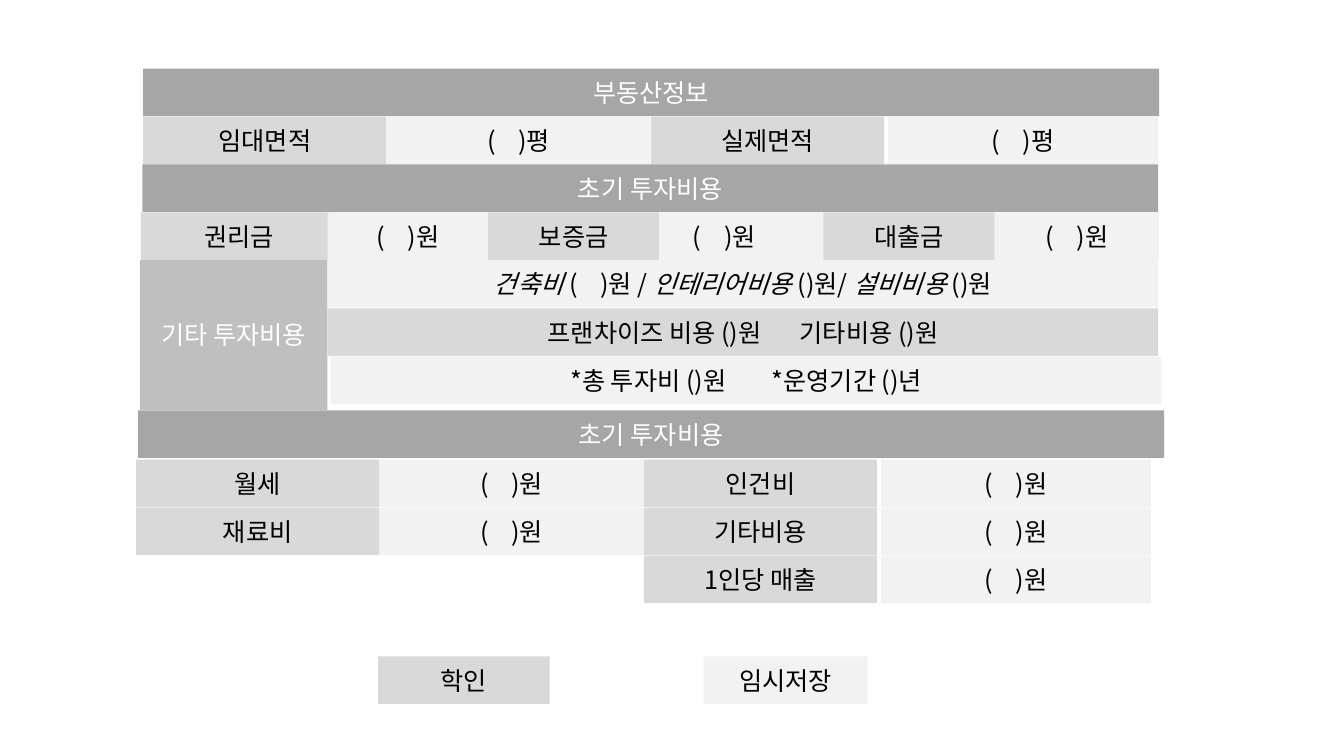
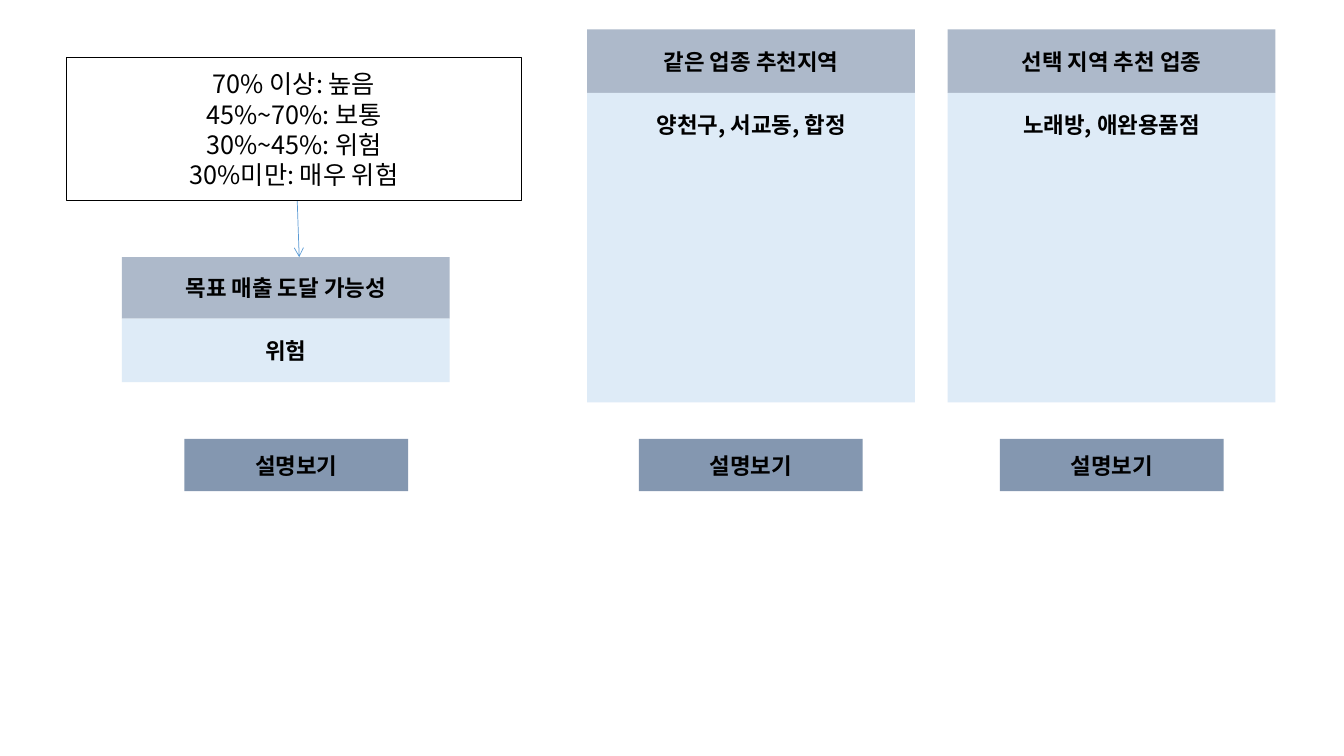
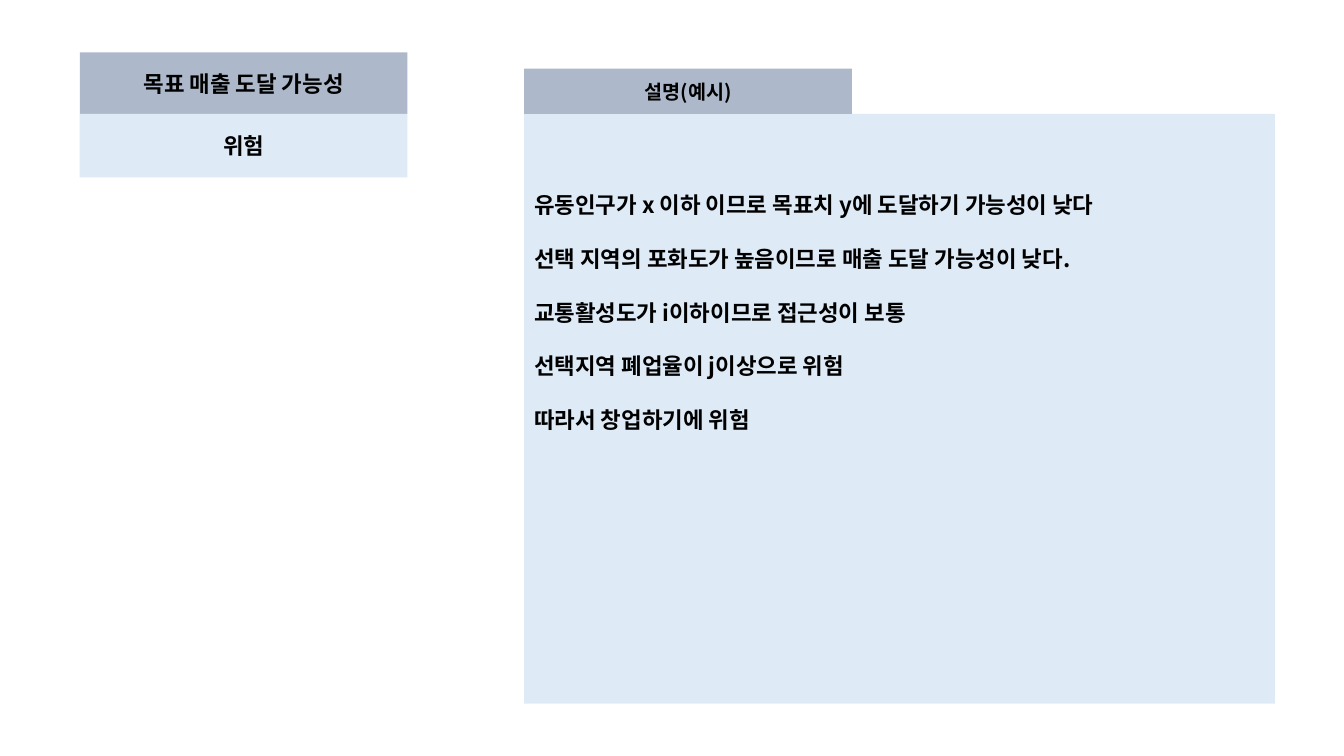
from dataclasses import dataclass

from lxml.etree import SubElement
from pptx import Presentation
from pptx.dml.color import RGBColor
from pptx.enum.shapes import MSO_CONNECTOR as Connector, MSO_SHAPE as Preset
from pptx.enum.text import MSO_ANCHOR as Anchor, MSO_AUTO_SIZE as AutoSize, PP_ALIGN as Align
from pptx.oxml.ns import qn
from pptx.util import Cm, Pt


@dataclass(frozen=True)
class Theme:
    font: str = "Noto Sans CJK KR"
    white: str = "FFFFFF"
    black: str = "000000"
    band: str = "A6A6A6"
    group: str = "BFBFBF"
    label: str = "D9D9D9"
    entry: str = "F2F2F2"
    heading: str = "ADB9CA"
    panel: str = "DEEBF7"
    button: str = "8497B0"
    arrow: str = "5B9BD5"
    form_size: int = 18
    card_size: int = 16
    note_size: int = 14
    row: float = 1.2
    card_width: float = 8.26


THEME = Theme()
WON = "(    )원"
PYEONG = "(    )평"


def rgb(value):
    return RGBColor.from_string(value)


def write_runs(paragraph, runs, size, color, bold):
    for words, italic in runs:
        run = paragraph.add_run()
        run.text = words
        font = run.font
        font.name, font.size = THEME.font, Pt(size)
        font.bold, font.italic = bold, italic
        font.color.rgb = rgb(color)
        SubElement(font._element, qn("a:ea"), typeface=THEME.font)


def write(frame, lines, size, color, bold, align, gap):
    frame.word_wrap = True
    frame.auto_size = AutoSize.NONE
    for index, line in enumerate(lines):
        paragraph = frame.add_paragraph() if index else frame.paragraphs[0]
        paragraph.alignment = align
        paragraph.space_before = Pt(gap if index else 0)
        properties = paragraph._p.get_or_add_pPr()
        properties.set("marL", "0")
        properties.set("indent", "0")
        SubElement(properties, qn("a:buNone"))
        runs = [(line, False)] if isinstance(line, str) else line
        write_runs(paragraph, runs, size, color, bold)


def block(slide, lines, box, fill, size=THEME.form_size, color=THEME.black, bold=False,
          align=Align.CENTER, gap=0, top_inset=None, holder=None, outline=None):
    left, top, width, height = map(Cm, box)
    if holder is None:
        shape = slide.shapes.add_shape(Preset.RECTANGLE, left, top, width, height)
        shape.shadow.inherit = False
    else:
        shape = holder
        shape.left, shape.top, shape.width, shape.height = left, top, width, height
    shape.fill.solid()
    shape.fill.fore_color.rgb = rgb(fill)
    if outline:
        shape.line.color.rgb = rgb(outline)
        shape.line.width = Pt(1)
    else:
        shape.line.fill.background()
    frame = shape.text_frame
    frame.vertical_anchor = Anchor.MIDDLE if top_inset is None else Anchor.TOP
    if top_inset is not None:
        frame.margin_top = Cm(top_inset)
    write(frame, lines, size, color, bold, align, gap)
    return shape


def band(slide, text, left, top, width, holder=None):
    block(slide, [text], (left, top, width, THEME.row), THEME.band,
          color=THEME.white, holder=holder)


def form_row(slide, left, top, columns, texts):
    cells = []
    for index, ((offset, width), text) in enumerate(zip(columns, texts)):
        fill = THEME.entry if index % 2 else THEME.label
        cells.append(block(slide, [text], (left + offset, top, width, THEME.row), fill))
    return cells


def other_costs(slide, left, top):
    block(slide, ["기타 투자비용"], (left, top, 4.72, 3.78), THEME.group, color=THEME.white)
    building = [("건축비 ", True), ("(    )원 / ", False), ("인테리어비용 ", True),
                ("()원/ ", False), ("설비비용 ", True), ("()원", False)]
    rows = [(building, 0, 0, THEME.entry),
            ("프랜차이즈 비용 ()원 \t기타비용 ()원", 0, 1.22, THEME.label),
            ("*총 투자비 ()원\t*운영기간 ()년", 0.08, 2.44, THEME.entry)]
    for line, shift, drop, fill in rows:
        cell = block(slide, [line], (left + 4.73 + shift, top + drop, 20.93, THEME.row), fill)
    stops = SubElement(cell.text_frame.paragraphs[0]._p.get_or_add_pPr(), qn("a:tabLst"))
    SubElement(stops, qn("a:tab"), pos=str(Cm(6.1)), algn="l")


def card(slide, heading, content, left, top, head=1.6, body=1.6, top_inset=None, holder=None):
    style = dict(size=THEME.card_size, bold=True)
    block(slide, [heading], (left, top, THEME.card_width, head), THEME.heading,
          holder=holder, **style)
    block(slide, [content], (left, top + head, THEME.card_width, body), THEME.panel,
          top_inset=top_inset, **style)


def target_card(slide, left, top):
    card(slide, "목표 매출 도달 가능성", "위험", left, top, head=1.55,
         holder=slide.shapes.title)


def arrow(slide, start, end):
    line = slide.shapes.add_connector(Connector.STRAIGHT, *map(Cm, start + end))
    line.line.color.rgb = rgb(THEME.arrow)
    line.line.width = Pt(0.5)
    SubElement(line.line._get_or_add_ln(), qn("a:tailEnd"), type="arrow")
    SubElement(line._element.spPr, qn("a:effectLst"))


def form_slide(slide):
    quarters = [(0, 6.13), (6.13, 6.66), (12.8, 5.87), (18.77, 6.81)]
    sixths = [(0, 4.95), (4.71, 4.04), (8.75, 4.32), (13.06, 4.14), (17.2, 4.32), (21.52, 4.14)]
    band(slide, "부동산정보", 3.61, 1.73, 25.6, holder=slide.shapes.title)
    form_row(slide, 3.61, 2.94, quarters, ["임대면적", PYEONG, "실제면적", PYEONG])
    band(slide, "초기 투자비용", 3.59, 4.14, 25.6)
    fees = form_row(slide, 3.55, 5.35, sixths, ["권리금", WON, "보증금", WON, "대출금", WON])
    fees[3].text_frame.margin_right = Cm(1.1)
    other_costs(slide, 3.53, 6.55)
    band(slide, "초기 투자비용", 3.48, 10.34, 25.86)
    form_row(slide, 3.43, 11.58, quarters, ["월세", WON, "인건비", WON])
    form_row(slide, 3.43, 12.79, quarters, ["재료비", WON, "기타비용", WON])
    form_row(slide, 3.43, 14, quarters[2:], ["1인당 매출", WON])
    form_row(slide, 9.53, 16.54, [(0, 4.32), (8.2, 4.14)], ["학인", "임시저장"])


def result_slide(slide):
    target_card(slide, 3.07, 6.48)
    arrow(slide, (7.49, 5.05), (7.54, 6.48))
    levels = ["70% 이상: 높음", "45%~70%: 보통", "30%~45%: 위험", "30%미만: 매우 위험"]
    block(slide, levels, (1.68, 1.45, 11.46, 3.61), THEME.white, outline=THEME.black)
    picks = [("같은 업종 추천지역", "양천구, 서교동, 합정", 14.8),
             ("선택 지역 추천 업종", "노래방, 애완용품점", 23.88)]
    for heading, content, left in picks:
        card(slide, heading, content, left, 0.74, body=7.8, top_inset=0.45)
    for left in (4.65, 16.1, 25.2):
        block(slide, ["설명보기"], (left, 11.06, 5.64, 1.32), THEME.button,
              size=THEME.card_size, bold=True)


def reason_slide(slide):
    target_card(slide, 2.01, 1.32)
    block(slide, ["설명(예시)"], (13.21, 1.73, THEME.card_width, 1.14), THEME.heading,
          size=THEME.note_size, bold=True)
    reasons = ["유동인구가 x 이하 이므로 목표치 y에 도달하기 가능성이 낮다",
               "선택 지역의 포화도가 높음이므로 매출 도달 가능성이 낮다.",
               "교통활성도가 i이하이므로 접근성이 보통",
               "선택지역 폐업율이 j이상으로 위험",
               "따라서 창업하기에 위험"]
    block(slide, reasons, (13.21, 2.87, 18.92, 14.86), THEME.panel, size=THEME.card_size,
          bold=True, align=Align.LEFT, gap=19.2, top_inset=1.95,
          holder=slide.placeholders[1])


def main():
    deck = Presentation()
    deck.slide_width, deck.slide_height = Cm(33.87), Cm(19.05)
    for layout, build in ((5, form_slide), (5, result_slide), (1, reason_slide)):
        build(deck.slides.add_slide(deck.slide_layouts[layout]))
    deck.save("out.pptx")


if __name__ == "__main__":
    main()
